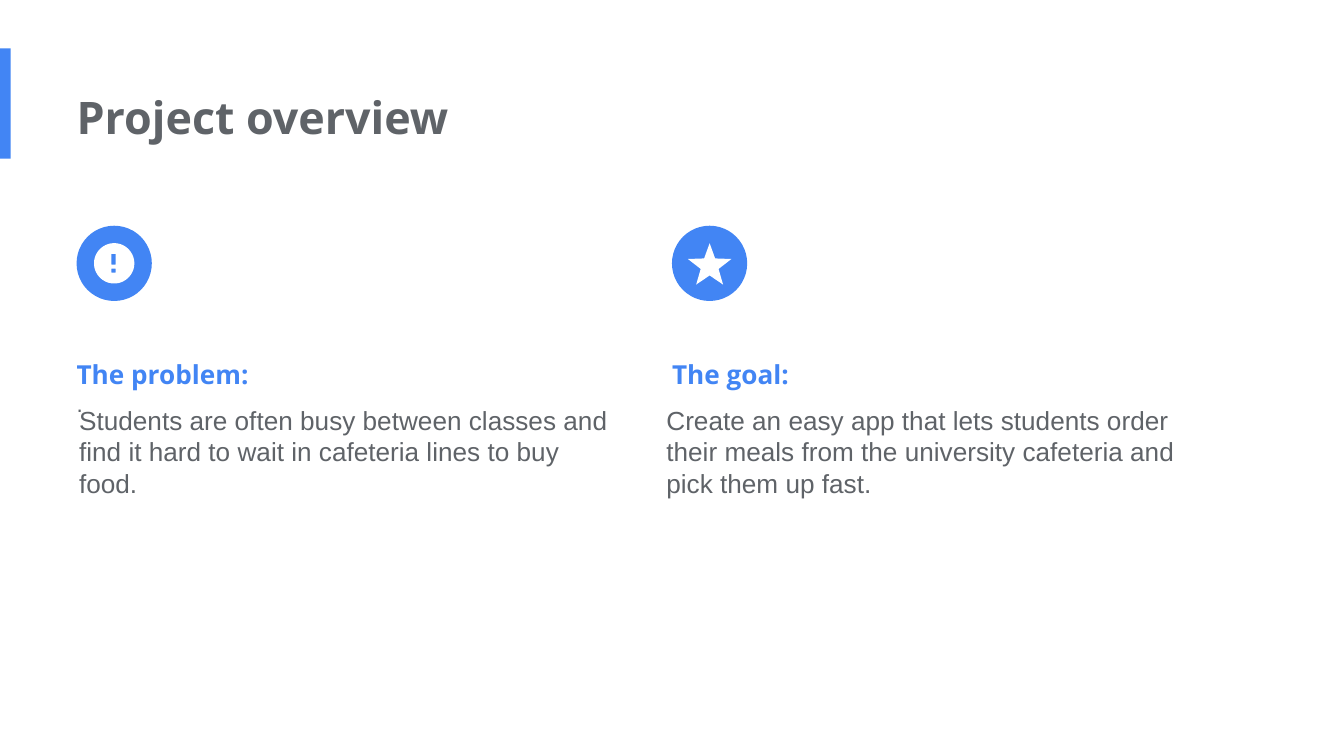
"""Build the project overview slide: one problem and one goal."""
from dataclasses import dataclass
from math import cos, pi, sin

from pptx import Presentation
from pptx import util as u
from pptx.dml.color import RGBColor
from pptx.enum import shapes, text


@dataclass(frozen=True)
class Theme:
    """Hold the colours, fonts and type sizes."""
    blue: str = "4285F4"
    grey: str = "5F6368"
    white: str = "FFFFFF"
    head: str = "Open Sans"
    body: str = "Arial"
    large: int = 24
    mid: int = 14
    small: int = 12


def ring(x, y, radii, count):
    """Return points around a centre, cycling through the radii."""
    turns = [2 * pi * i / count for i in range(count)]
    return [(x + radii[i % len(radii)] * sin(a), y - radii[i % len(radii)] * cos(a))
            for i, a in enumerate(turns)]


def rect(x, y, w, h):
    """Return the corners of a rectangle."""
    return [(x, y), (x + w, y), (x + w, y + h), (x, y + h)]


class Deck:
    """Draw styled elements on the current slide."""

    def __init__(self, show, theme):
        """Add a title-only slide."""
        self.theme = theme
        self.slide = show.slides.add_slide(show.slide_layouts[5])

    def paint(self, shape, color):
        """Give a shape a plain fill."""
        shape.shadow.inherit = False
        shape.fill.solid()
        shape.fill.fore_color.rgb = RGBColor.from_string(color)
        shape.line.fill.background()

    def shape(self, kind, box, color):
        """Add a preset shape."""
        item = self.slide.shapes.add_shape(kind, *map(u.Inches, box))
        self.paint(item, color)

    def free(self, paths, color):
        """Add an outline made of closed paths."""
        paths = [[(u.Inches(x), u.Inches(y)) for x, y in path] for path in paths]
        draw = self.slide.shapes.build_freeform(*paths[0][0])
        for i, path in enumerate(paths):
            if i:
                draw.move_to(*path[0])
            draw.add_line_segments(path[1:], close=True)
        self.paint(draw.convert_to_shape(), color)

    def frame(self, shape, box, pads):
        """Place a text shape and return its frame."""
        shape.left, shape.top, shape.width, shape.height = map(u.Inches, box)
        frame = shape.text_frame
        frame.word_wrap = True
        frame.auto_size = text.MSO_AUTO_SIZE.SHAPE_TO_FIT_TEXT
        frame.vertical_anchor = text.MSO_ANCHOR.TOP
        (frame.margin_left, frame.margin_top,
         frame.margin_right, frame.margin_bottom) = map(u.Inches, pads)
        return frame

    def style(self, para, words, font, size, color, bold=False):
        """Fill and format a paragraph."""
        para.text = words
        para.alignment = text.PP_ALIGN.LEFT
        para.font.name, para.font.size, para.font.bold = font, u.Pt(size), bold
        para.font.color.rgb = RGBColor.from_string(color)

    def title(self, words, box):
        """Format the title placeholder."""
        t = self.theme
        frame = self.frame(self.slide.shapes.title, box, (0, 0.1, 0.1, 0.1))
        self.style(frame.paragraphs[0], words, t.head, t.large, t.grey, True)

    def label(self, words, box, mark=""):
        """Add a column heading with an optional small mark below."""
        t = self.theme
        item = self.slide.shapes.add_textbox(0, 0, 0, 0)
        frame = self.frame(item, box, (0, 0.1, 0.1, 0.1))
        para = frame.paragraphs[0]
        self.style(para, words, t.head, t.mid, t.blue, True)
        para.line_spacing = 1.5
        if mark:
            self.style(frame.add_paragraph(), mark, t.body, t.small, t.grey)

    def note(self, words, box):
        """Add body text."""
        t = self.theme
        item = self.slide.shapes.add_textbox(0, 0, 0, 0)
        frame = self.frame(item, box, (0.1, 0.05, 0.1, 0.05))
        self.style(frame.paragraphs[0], words, t.body, t.mid, t.grey)


def main():
    """Build and save the slide."""
    show = Presentation()
    show.slide_width = u.Inches(10)
    show.slide_height = show.slide_width * 9 // 16
    theme = Theme()
    deck = Deck(show, theme)
    kind = shapes.MSO_SHAPE

    deck.shape(kind.RECTANGLE, (0, 0.36, 0.08, 0.82), theme.blue)
    deck.title("Project overview", (0.57, 0.57, 3.77, 0.61))

    alert = [ring(0.85, 1.96, [0.15], 72),
             rect(0.83, 1.89, 0.03, 0.08), rect(0.83, 2, 0.03, 0.03)]
    star = [ring(5.28, 1.98, [0.17, 0.07], 10)]
    cols = [
        (0.57, 0.49, 1.43, 0.76, "The problem:", ".", alert,
         "Students are often busy between classes and find it hard to wait "
         "in cafeteria lines to buy food."),
        (5, 4.86, 1.25, 0.56, "The goal:", "", star,
         "Create an easy app that lets students order their meals from the "
         "university cafeteria and pick them up fast."),
    ]
    for x, left, wide, high, head, mark, icon, words in cols:
        deck.label(head, (x, 2.45, wide, high), mark)
        deck.shape(kind.OVAL, (x, 1.68, 0.56, 0.56), theme.blue)
        deck.free(icon, theme.white)
        deck.note(words, (left, 2.96, 4.19, 0.81))

    show.save("out.pptx")


if __name__ == "__main__":
    main()
